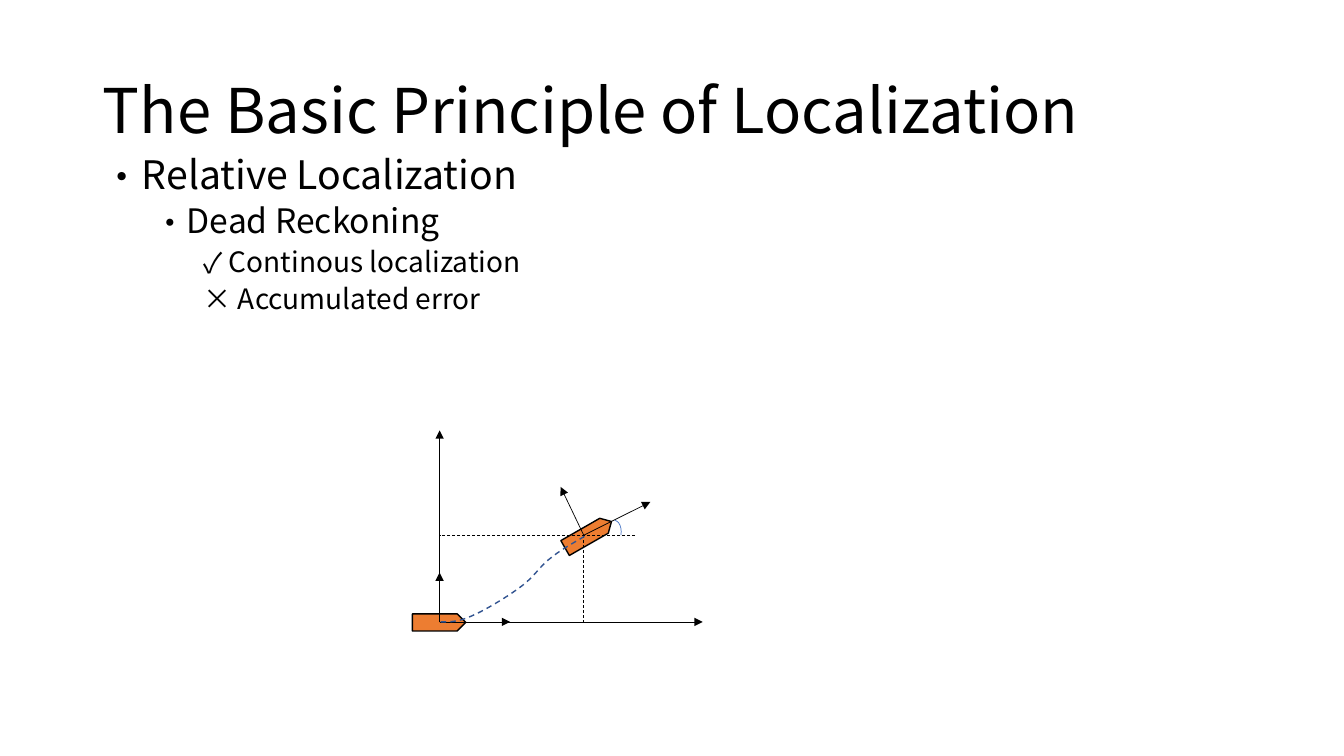
from dataclasses import dataclass
from lxml import etree
from pptx import Presentation
from pptx.dml.color import RGBColor
from pptx.enum.dml import MSO_LINE
from pptx.enum.shapes import MSO_CONNECTOR, MSO_SHAPE
from pptx.enum.text import MSO_ANCHOR, MSO_AUTO_SIZE, PP_ALIGN
from pptx.oxml.ns import qn
from pptx.util import Pt

PX = 9144  # EMU per px, 100 px to the inch
DASH = MSO_LINE.DASH
LINE = MSO_CONNECTOR.STRAIGHT
BOAT, ARC = MSO_SHAPE.PENTAGON, MSO_SHAPE.ARC
MIDDLE, TOP = MSO_ANCHOR.MIDDLE, MSO_ANCHOR.TOP
LEFT, NO_FIT = PP_ALIGN.LEFT, MSO_AUTO_SIZE.NONE


@dataclass(frozen=True)
class Theme:
    face: str = "Noto Sans CJK SC"
    ink: str = "000000"
    boat: str = "ED7D31"
    angle: str = "4472C4"
    track: str = "325491"
    title: int = 44
    levels: tuple = (28, 24, 20)
    thin: float = 0.5
    bold: float = 1


def assign(item, **values):
    for name, value in values.items():
        setattr(item, name, value)


def add_tag(parent, tag, **attrs):
    return etree.SubElement(parent, qn(tag), attrs)


class Board:
    def __init__(self, slide, theme):
        self.slide, self.theme = slide, theme
        self.shapes = slide.shapes

    def place(self, holder, box, anchor):
        names = ("left", "top", "width", "height")
        assign(holder, **{n: v * PX for n, v in zip(names, box)})
        assign(holder.text_frame, word_wrap=True, auto_size=NO_FIT,
               vertical_anchor=anchor)
        return holder.text_frame

    def label(self, para, text, size, before=0):
        assign(para, alignment=LEFT, line_spacing=0.9, space_before=Pt(before))
        run = para.add_run()
        run.text = text
        assign(run.font, size=Pt(size), name=self.theme.face)
        run.font.color.rgb = RGBColor.from_string(self.theme.ink)
        add_tag(run.font._element, "a:ea", typeface=self.theme.face)

    def title(self, text, box):
        frame = self.place(self.shapes.title, box, MIDDLE)
        self.label(frame.paragraphs[0], text, self.theme.title)

    def bullets(self, items, box):
        frame = self.place(self.slide.placeholders[1], box, TOP)
        for i, (level, mark, text) in enumerate(items):
            para = frame.add_paragraph() if i else frame.paragraphs[0]
            para.level = level
            hang = 25 if mark else 0
            props = para._p.get_or_add_pPr()
            props.set("marL", str((level * 50 + hang) * PX))
            props.set("indent", str(-hang * PX))
            if mark:
                add_tag(props, "a:buFont", typeface=self.theme.face)
                add_tag(props, "a:buChar", char=mark)
            else:
                add_tag(props, "a:buNone")
            self.label(para, text, self.theme.levels[level], 5 if i else 0)

    def stroke(self, item, color, width, dash=None):
        item.line.color.rgb = RGBColor.from_string(color)
        assign(item.line, width=Pt(width), dash_style=dash)

    def shape(self, kind, box, color, width, fill=None, turn=0):
        item = self.shapes.add_shape(kind, *(v * PX for v in box))
        item.shadow.inherit = False
        item.rotation = turn
        if fill:
            item.fill.solid()
            item.fill.fore_color.rgb = RGBColor.from_string(fill)
        else:
            item.fill.background()
        self.stroke(item, color, width)

    def line(self, start, end, dash=None):
        item = self.shapes.add_connector(LINE, *(v * PX for v in start + end))
        self.stroke(item, self.theme.ink, self.theme.thin, dash)
        if not dash:
            add_tag(item.line._get_or_add_ln(), "a:tailEnd", type="triangle")
        add_tag(item._element.spPr, "a:effectLst")

    def curve(self, knots, steps=10):
        # Each cubic piece shares its end knot with the next one
        points = []
        for i in range(0, len(knots) - 1, 3):
            for k in range(1, steps + 1):
                t = k / steps
                u = 1 - t
                parts = (u ** 3, 3 * u * u * t, 3 * u * t * t, t ** 3)
                points.append(tuple(
                    round(PX * sum(w * p[axis] for w, p in zip(parts, knots[i:i + 4])))
                    for axis in (0, 1)))
        pen = self.shapes.build_freeform(*(v * PX for v in knots[0]), scale=1.0)
        pen.add_line_segments(points, close=False)
        item = pen.convert_to_shape()
        item.shadow.inherit = False
        item.fill.background()
        self.stroke(item, self.theme.track, self.theme.bold, DASH)


def main():
    deck = Presentation()
    assign(deck, slide_width=1333 * PX, slide_height=750 * PX)
    theme = Theme()
    board = Board(deck.slides.add_slide(deck.slide_layouts[1]), theme)

    # Title and list
    board.title("The Basic Principle of Localization", (92, 40, 1150, 145))
    board.bullets([
        (0, "•", "Relative Localization"),
        (1, "•", "Dead Reckoning"),
        (2, "✓", "Continous localization"),
        (2, None, "× Accumulated error"),
    ], (92, 149, 1150, 476))

    # Start pose on the world axes
    home, pose = (436, 617), (579, 531)
    boat = dict(color=theme.ink, width=theme.bold, fill=theme.boat)
    board.shape(BOAT, (409, 609, 53, 17), **boat)
    for tip in ((697, 617), (436, 427)):
        board.line(home, tip)

    # Moved pose with its own axes
    board.shape(BOAT, (557, 522, 53, 17), turn=330.2, **boat)
    for tip in ((645, 498), (556, 483)):
        board.line(pose, tip)

    # Short axes of the start pose
    for tip in ((506, 617), (436, 568)):
        board.line(home, tip)

    # Guides to the axes, heading angle
    board.line(pose, (pose[0], home[1]), DASH)
    board.line((630, pose[1]), (home[0], pose[1]), DASH)
    board.shape(ARC, (599, 516, 17, 27), theme.angle, theme.thin, turn=9.3)

    # Travelled track
    board.curve([(437, 617), (446, 617), (455, 617), (468, 611),
                 (482, 605), (505, 591), (518, 581),
                 (531, 571), (536, 561), (547, 553),
                 (557, 545), (568, 539), (580, 532)])

    deck.save("out.pptx")


if __name__ == "__main__":
    main()
